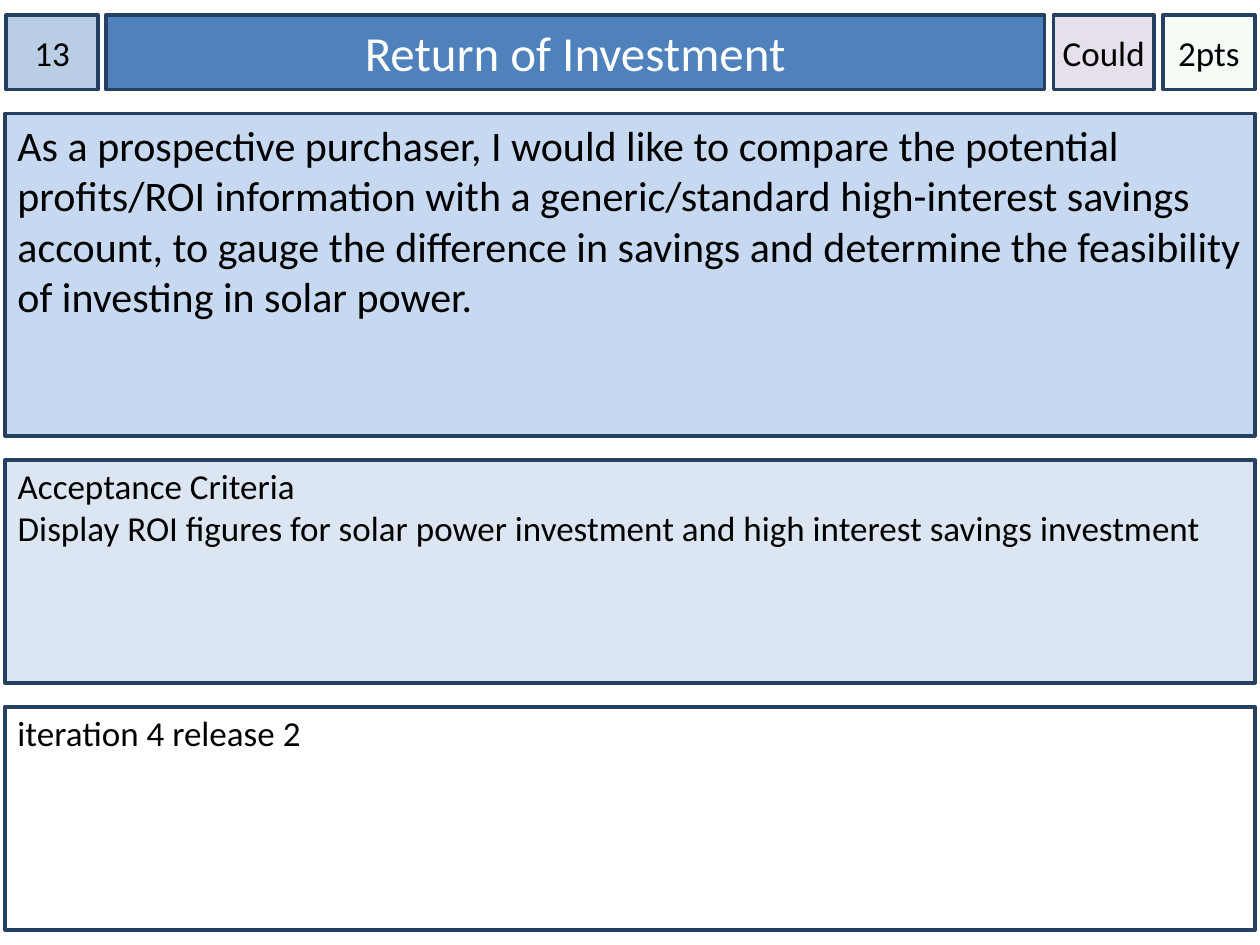
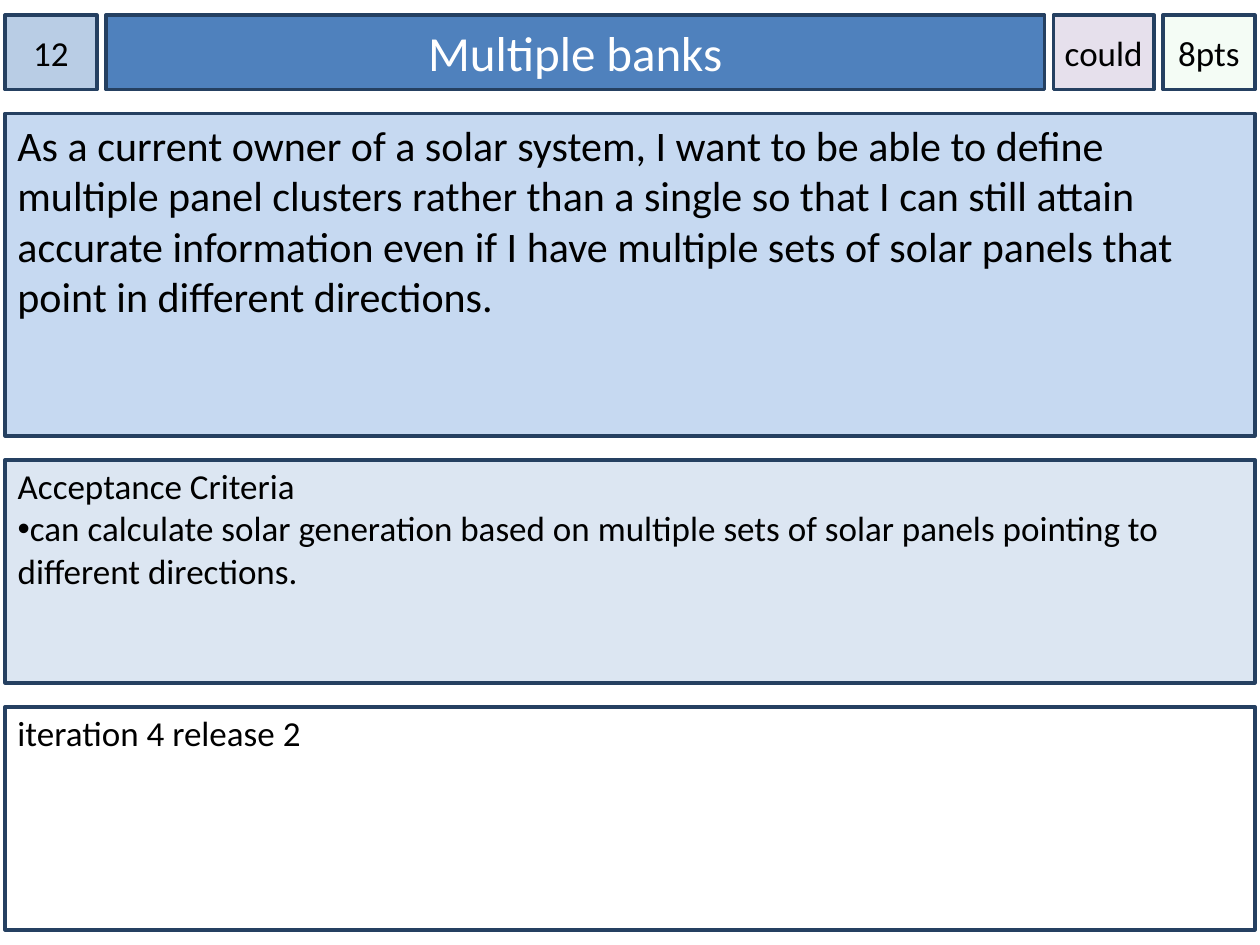
"""Build a deck of user story cards, one card per slide."""
from dataclasses import dataclass

from pptx import Presentation
from pptx.dml.color import RGBColor
from pptx.enum.shapes import MSO_SHAPE
from pptx.enum.text import MSO_ANCHOR, MSO_AUTO_SIZE, PP_ALIGN
from pptx.oxml.xmlchemy import OxmlElement
from pptx.shapes.autoshape import Shape
from pptx.slide import Slide
from pptx.util import Inches, Pt

FONT = "Calibri"
BORDER, BLACK, WHITE = "254061", "000000", "FFFFFF"
EDGE, PANEL_WIDTH = 0.04, 9.92
HEADER_TOP, HEADER_HEIGHT = 0.12, 0.59
NOTE_HEIGHT = 1.77


@dataclass(frozen=True)
class Story:
    number: str
    title: str
    priority: str
    points: str
    story: str
    criterion: str
    schedule: str
    bulleted: bool = False
    number_left: float = EDGE


@dataclass(frozen=True)
class Style:
    fill: str
    size: int = 20
    color: str = BLACK
    centered: bool = False
    side_inset: float = 0.1
    top_inset: float = 0.05
    wrap: bool = True
    opacity: int = 100


NUMBER = Style("B9CDE5", centered=True, side_inset=0)
TITLE = Style("4F81BD", size=28, color=WHITE, centered=True)
PRIORITY = Style("E6E0EC", centered=True, side_inset=0, wrap=False)
POINTS = Style("CCF0CD", centered=True, side_inset=0, opacity=20)
STORY = Style("C6D9F1", size=24)
CRITERIA = Style("DCE6F2", top_inset=0.04)
SCHEDULE = Style(WHITE, top_inset=0.04)

STORIES = [
    Story(
        number="13",
        title="Return of Investment",
        priority="Could",
        points="2pts",
        story="As a prospective purchaser, I would like to compare the potential "
        "profits/ROI information with a generic/standard high-interest savings "
        "account, to gauge the difference in savings and determine the "
        "feasibility of investing in solar power.",
        criterion="Display ROI figures for solar power investment and high "
        "interest savings investment",
        schedule="iteration 4 release 2",
        number_left=0.05,
    ),
    Story(
        number="12",
        title="Multiple banks",
        priority="could",
        points="8pts",
        story="As a current owner of a solar system, I want to be able to define "
        "multiple panel clusters rather than a single so that I can still attain "
        "accurate information even if I have multiple sets of solar panels that "
        "point in different directions.",
        criterion="can calculate solar generation based on multiple sets of "
        "solar panels pointing to different directions.",
        schedule="iteration 4 release 2",
        bulleted=True,
    ),
]


def rgb(value: str) -> RGBColor:
    """Turn a hex string into a colour."""
    return RGBColor.from_string(value)


def place(box: Shape, left: float, top: float, width: float, height: float) -> None:
    """Move and size a box, in inches."""
    box.left, box.top = Inches(left), Inches(top)
    box.width, box.height = Inches(width), Inches(height)


def paint(box: Shape, style: Style) -> None:
    """Give a box its fill and border."""
    box.shadow.inherit = False
    box.fill.solid()
    box.fill.fore_color.rgb = rgb(style.fill)
    if style.opacity < 100:
        alpha = OxmlElement("a:alpha")
        alpha.set("val", str(style.opacity * 1000))
        box.fill._xPr.solidFill[0].append(alpha)
    box.line.color.rgb = rgb(BORDER)
    box.line.width = Pt(2)


def write(box: Shape, style: Style, lines: list[str], bulleted: bool = False) -> None:
    """Write lines of text, with a bullet on the last one if asked."""
    frame = box.text_frame
    frame.auto_size = MSO_AUTO_SIZE.NONE
    frame.word_wrap = style.wrap
    frame.vertical_anchor = MSO_ANCHOR.MIDDLE if style.centered else MSO_ANCHOR.TOP
    frame.margin_left = frame.margin_right = Inches(style.side_inset)
    frame.margin_top, frame.margin_bottom = Inches(style.top_inset), Inches(0.05)
    for index, line in enumerate(lines):
        para = frame.add_paragraph() if index else frame.paragraphs[0]
        para.alignment = PP_ALIGN.CENTER if style.centered else PP_ALIGN.LEFT
        para.space_before = Pt(0)
        properties = para._p.get_or_add_pPr()
        properties.set("marL", "0")
        properties.set("indent", "0")
        has_bullet = bulleted and index == len(lines) - 1
        bullet = OxmlElement("a:buChar" if has_bullet else "a:buNone")
        if has_bullet:
            bullet.set("char", "•")
        properties.append(bullet)
        span = para.add_run()
        span.text = line
        span.font.name, span.font.size = FONT, Pt(style.size)
        span.font.color.rgb = rgb(style.color)


def fill_box(box: Shape, at: tuple[float, float, float, float], style: Style,
             lines: list[str], bulleted: bool = False) -> None:
    """Place, paint and write one box."""
    place(box, *at)
    paint(box, style)
    write(box, style, lines, bulleted)


def add_box(page: Slide, at: tuple[float, float, float, float], style: Style,
            text: str) -> None:
    """Add a rectangle with one line of text."""
    box = page.shapes.add_shape(MSO_SHAPE.RECTANGLE, 0, 0, 0, 0)
    fill_box(box, at, style, [text])


def add_card(page: Slide, card: Story) -> None:
    """Draw one story card on a page."""
    header = HEADER_TOP, HEADER_HEIGHT
    for left, width, style, text in (
        (card.number_left, 0.73, NUMBER, card.number),
        (8.36, 0.8, PRIORITY, card.priority),
        (9.23, 0.73, POINTS, card.points),
    ):
        add_box(page, (left, header[0], width, header[1]), style, text)
    fill_box(page.shapes.title, (0.84, header[0], 7.45, header[1]), TITLE, [card.title])
    add_box(page, (EDGE, 0.9, PANEL_WIDTH, 2.56), STORY, card.story)
    fill_box(page.placeholders[1], (EDGE, 3.65, PANEL_WIDTH, NOTE_HEIGHT), CRITERIA,
             ["Acceptance Criteria", card.criterion], card.bulleted)
    add_box(page, (EDGE, 5.61, PANEL_WIDTH, NOTE_HEIGHT), SCHEDULE, card.schedule)


def main() -> None:
    """Build and save the deck."""
    deck = Presentation()
    deck.slide_width, deck.slide_height = Inches(10), Inches(7.5)
    for card in STORIES:
        add_card(deck.slides.add_slide(deck.slide_layouts[1]), card)
    deck.save("out.pptx")


main()
